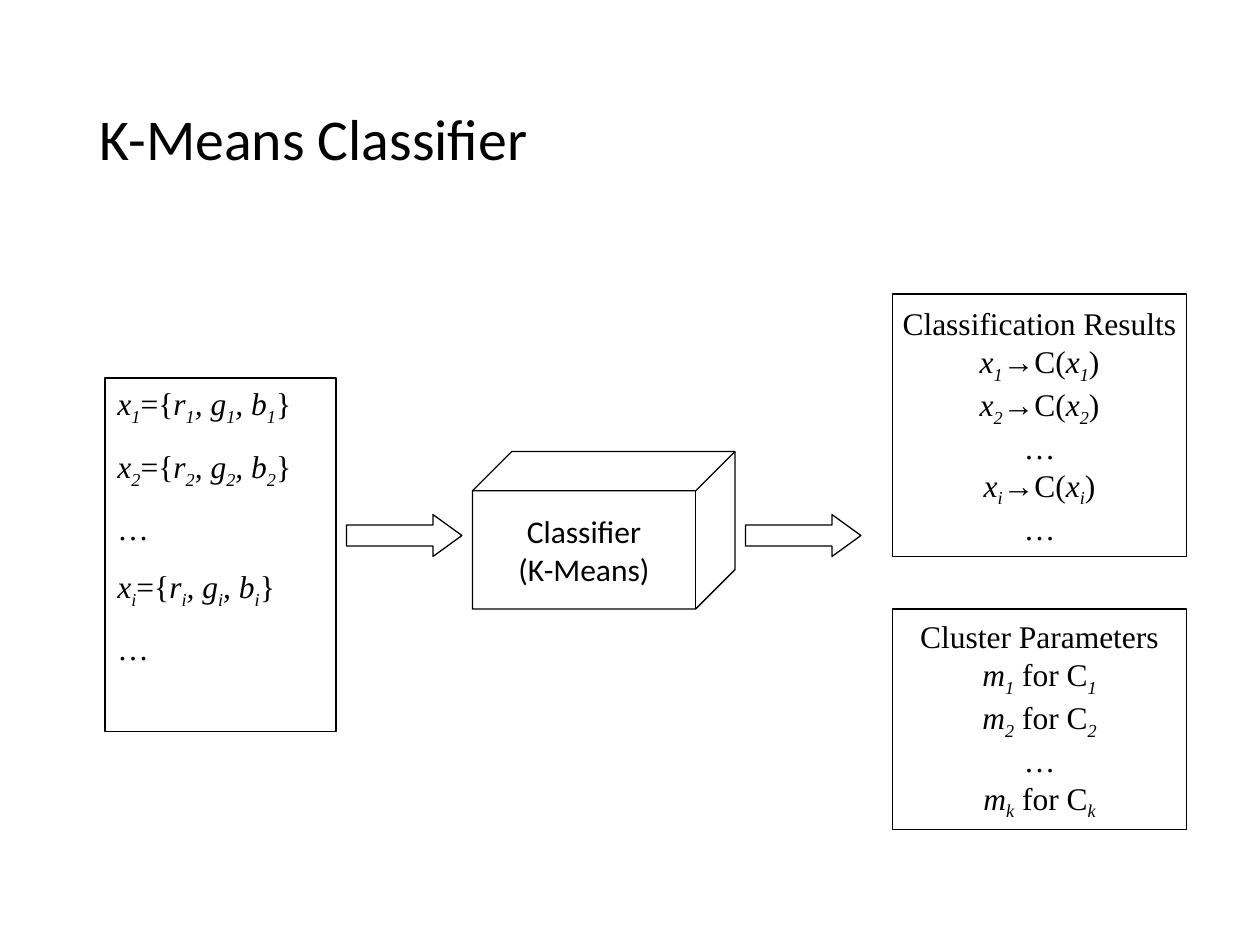
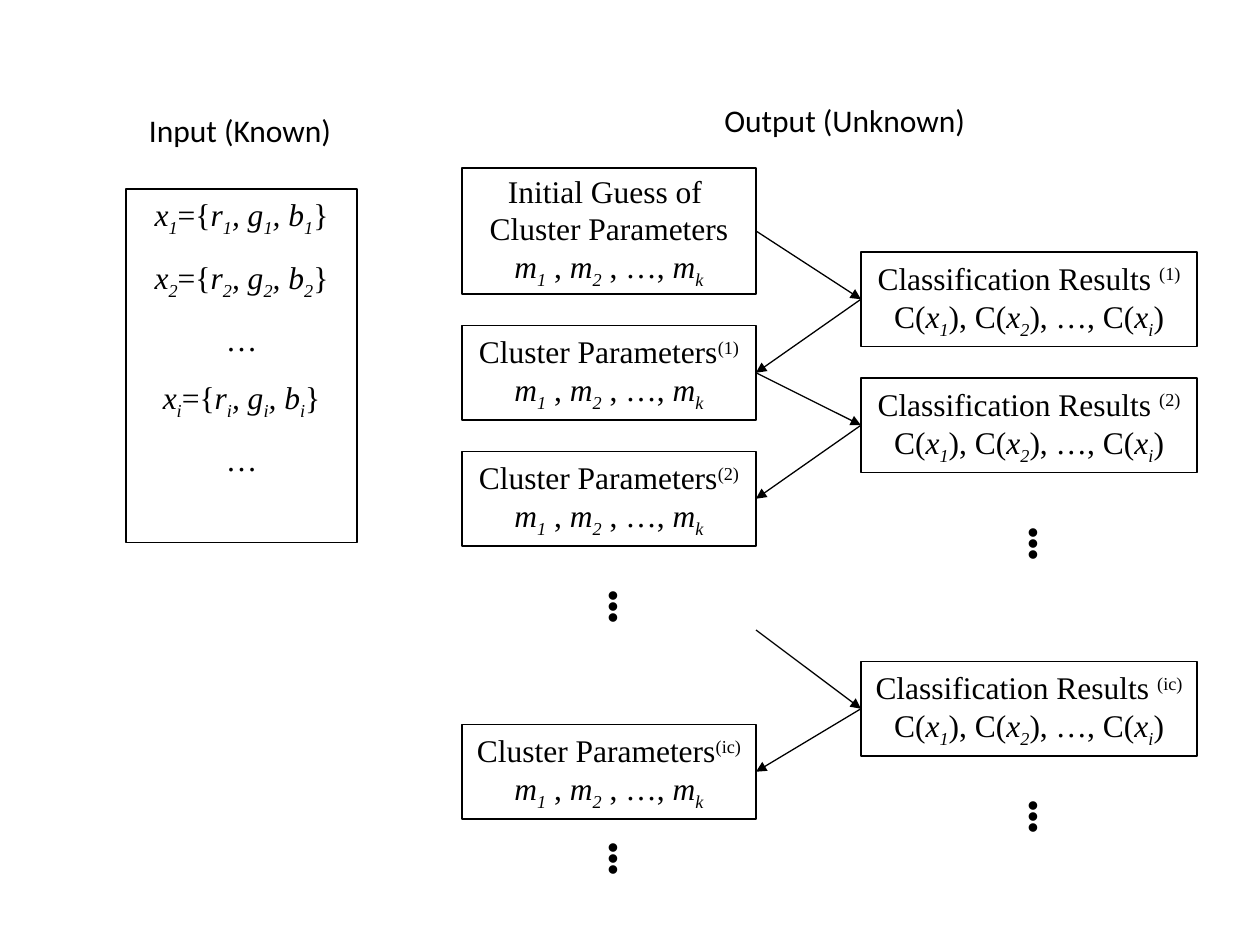
from dataclasses import dataclass
from itertools import pairwise
from typing import Optional

from lxml.etree import SubElement
from pptx import Presentation
from pptx.dml.color import RGBColor
from pptx.enum.shapes import MSO_CONNECTOR, MSO_SHAPE as SHAPE
from pptx.enum.text import MSO_ANCHOR as ANCHOR, MSO_AUTO_SIZE as FIT, PP_ALIGN as ALIGN
from pptx.oxml.ns import qn
from pptx.util import Emu, Pt

PX = 7620
BLACK = "000000"
SANS, SERIF, SYMBOL = "Calibri", "Times New Roman", "Arial"
LINE_WIDTH = 0.75
LEFT, RIGHT = 1, 3


def px(n: int) -> Emu:
    return Emu(n * PX)


def rgb(code: str) -> RGBColor:
    return RGBColor.from_string(code)


@dataclass(frozen=True)
class Block:
    x: int
    y: int
    w: int
    h: int
    lines: tuple[str, ...] = ()
    kind: Optional[SHAPE] = SHAPE.RECTANGLE
    adjust: tuple[float, ...] = ()
    font: str = SERIF
    size: int = 18
    align: ALIGN = ALIGN.CENTER
    anchor: ANCHOR = ANCHOR.MIDDLE
    wrap: bool = False
    grow: bool = False
    before: float = 0
    spacing: float = 1
    vertical: bool = False


def add_runs(p, line: str, b: Block) -> None:
    for piece in line.split("|"):
        mark = piece[0] if piece[0] in "/_^" else ""
        r = p.add_run()
        r.text = piece[len(mark):]
        r.font.name = SYMBOL if piece == "→" else b.font
        r.font.size = Pt(b.size)
        r.font.color.rgb = rgb(BLACK)
        r.font.italic = mark in ("/", "_")
        if mark in ("_", "^"):
            r.font._element.set("baseline", "-25000" if mark == "_" else "30000")


def write(tf, b: Block) -> None:
    tf.word_wrap = b.wrap
    tf.vertical_anchor = b.anchor
    if b.grow:
        tf.auto_size = FIT.SHAPE_TO_FIT_TEXT
    if b.vertical:
        tf._txBody.bodyPr.set("vert", "eaVert")
        tf.margin_left = tf.margin_right = px(6)
        tf.margin_top = tf.margin_bottom = px(12)
    for i, line in enumerate(b.lines):
        p = tf.add_paragraph() if i else tf.paragraphs[0]
        p.alignment = b.align
        p.space_before = Pt(b.before)
        p.line_spacing = b.spacing
        add_runs(p, line, b)


def draw(s, b: Block):
    box = px(b.x), px(b.y), px(b.w), px(b.h)
    if b.kind is None:
        sp = s.shapes.add_textbox(*box)
    else:
        sp = s.shapes.add_shape(b.kind, *box)
        sp.shadow.inherit = False
        sp.fill.background()
        sp.line.color.rgb = rgb(BLACK)
        sp.line.width = Pt(LINE_WIDTH)
        for i, value in enumerate(b.adjust):
            sp.adjustments[i] = value
    write(sp.text_frame, b)
    return sp


def add_arrow(s, x1: int, y1: int, x2: int, y2: int):
    c = s.shapes.add_connector(MSO_CONNECTOR.STRAIGHT, px(x1), px(y1), px(x2), px(y2))
    c.line.color.rgb = rgb(BLACK)
    c.line.width = Pt(LINE_WIDTH)
    SubElement(c.line._get_or_add_ln(), qn("a:tailEnd"), type="triangle")
    SubElement(c._element.spPr, qn("a:effectLst"))
    return c


def join(s, start, end) -> None:
    rightward = start.left < end.left
    c = add_arrow(s, 0, 0, 0, 0)
    c.begin_connect(start, RIGHT if rightward else LEFT)
    c.end_connect(end, LEFT if rightward else RIGHT)


def pixel(n: str) -> str:
    return f"/x|_{n}|={{|/r|_{n}|/, g|_{n}|/, b|_{n}|}}"


def pixel_list(x: int, y: int, align: ALIGN) -> Block:
    lines = (pixel("1"), pixel("2"), "…", pixel("i"), "…")
    return Block(x, y, 220, 337, lines, align=align, anchor=ANCHOR.TOP,
                 wrap=True, before=11.2)


def flow_arrow(x: int) -> Block:
    return Block(x, 490, 110, 40, kind=SHAPE.RIGHT_ARROW, adjust=(0.5, 0.69))


def assignment(n: str) -> str:
    return f"/x|_{n}|→|C(|/x|_{n}|)"


def mean_of(n: str) -> str:
    return f"/m|_{n}| for C|_{n}"


MEANS = "/m|_1| , |/m|_2| , …, |/m|_k"
CLASSES = "C(|/x|_1|), C(|/x|_2|), …, C(|/x|_i|)"


def cluster_box(y: int, step: str) -> Block:
    return Block(440, y, 280, 90, (f"Cluster Parameters|^({step})", MEANS))


def result_box(y: int, step: str) -> Block:
    return Block(820, y, 320, 90, (f"Classification Results |^({step})", CLASSES))


def label(x: int, y: int, w: int, text: str) -> Block:
    return Block(x, y, w, 48, (text,), kind=None, font=SANS,
                 align=ALIGN.LEFT, anchor=ANCHOR.TOP, grow=True)


def dots(x: int, y: int) -> Block:
    return Block(x, y, 60, 110, ("•••",), kind=None, font=SYMBOL, anchor=ANCHOR.TOP,
                 wrap=True, grow=True, before=11.2, vertical=True)


def classifier_slide(s) -> None:
    results = ("Classification Results", assignment("1"), assignment("2"),
               "…", assignment("i"), "…")
    clusters = ("Cluster Parameters", mean_of("1"), mean_of("2"), "…", mean_of("k"))
    for b in (
        Block(450, 430, 250, 150, ("Classifier", "(K-Means)"), SHAPE.CUBE, (0.25,), SANS),
        pixel_list(100, 360, ALIGN.LEFT),
        flow_arrow(330),
        Block(850, 280, 280, 250, results),
        Block(850, 580, 280, 210, clusters),
        flow_arrow(710),
        Block(83, 48, 1035, 174, ("K-Means Classifier",), None, font=SANS, size=33,
              align=ALIGN.LEFT, wrap=True, spacing=0.9),
    ):
        draw(s, b)


def iteration_slide(s) -> None:
    draw(s, pixel_list(120, 180, ALIGN.CENTER))
    draw(s, label(130, 100, 198, "Input (Known)"))
    draw(s, label(678, 90, 256, "Output (Unknown)"))
    guess = Block(440, 160, 280, 120, ("Initial Guess of ", "Cluster Parameters", MEANS))
    chain = [draw(s, b) for b in (
        guess,
        result_box(240, "1"), cluster_box(310, "1"),
        result_box(360, "2"), cluster_box(430, "2"),
    )]
    last_result = draw(s, result_box(630, "ic"))
    last_cluster = draw(s, cluster_box(690, "ic"))
    for start, end in pairwise(chain):
        join(s, start, end)
    add_arrow(s, 720, 600, 820, 675).end_connect(last_result, LEFT)
    join(s, last_result, last_cluster)
    for x, y in ((550, 550), (950, 490), (550, 790), (950, 750)):
        draw(s, dots(x, y))


def main() -> None:
    prs = Presentation()
    prs.slide_width, prs.slide_height = px(1200), px(900)
    for build in (classifier_slide, iteration_slide):
        build(prs.slides.add_slide(prs.slide_layouts[6]))
    prs.save("out.pptx")


if __name__ == "__main__":
    main()
